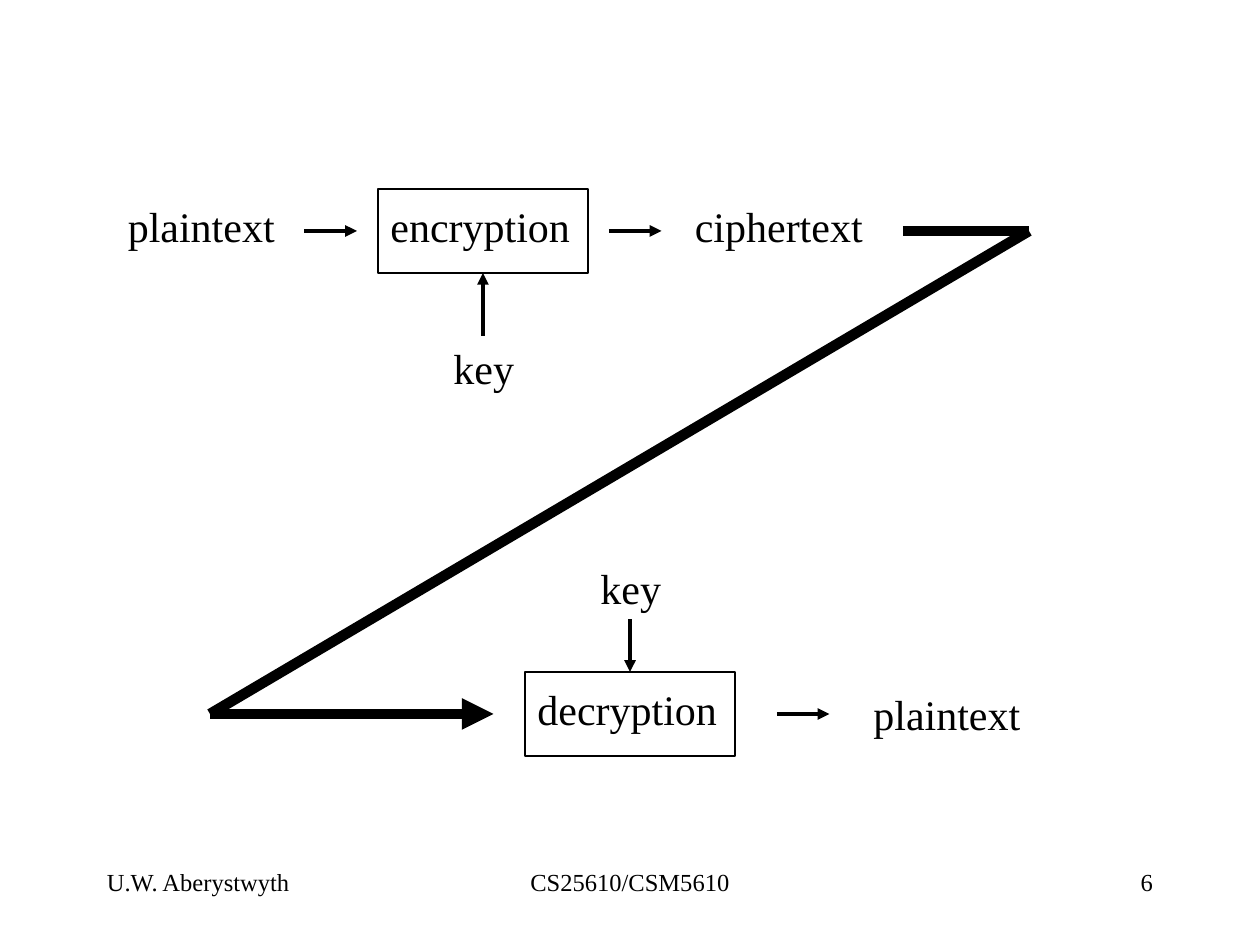
import pptx
import pptx.util
import pptx.dml.color
import pptx.enum.shapes
import pptx.enum.text
import pptx.oxml
import pptx.oxml.ns
from dataclasses import dataclass
from itertools import pairwise

COLS, ROWS = 120, 90  # grid of the whole slide
ALIGN = pptx.enum.text.PP_ALIGN


@dataclass(frozen=True)
class Theme:
    font: str = "Times New Roman"
    ink: str = "000000"
    body: float = 24
    foot: float = 14
    edge: float = 0.75
    arrow: float = 2.25
    thick: float = 6


theme = Theme()
ink = pptx.dml.color.RGBColor.from_string(theme.ink)
deck = pptx.Presentation()
deck.slide_width = pptx.util.Inches(10)
deck.slide_height = pptx.util.Inches(7.5)


def across(cols):
    return round(deck.slide_width * cols / COLS)


def down(rows):
    return round(deck.slide_height * rows / ROWS)


def place(x, y, w, h):
    return across(x), down(y), across(w), down(h)


def label(slide, box, text, size=theme.body, align=ALIGN.LEFT, grow=True):
    frame = slide.shapes.add_textbox(*place(*box)).text_frame
    frame.word_wrap = True
    fit = pptx.enum.text.MSO_AUTO_SIZE
    frame.auto_size = fit.SHAPE_TO_FIT_TEXT if grow else fit.NONE
    frame.text = text
    para = frame.paragraphs[0]
    para.alignment = align
    font = para.runs[0].font
    font.name, font.size = theme.font, pptx.util.Pt(size)
    font.color.rgb = ink


def line(slide, start, end, width=theme.arrow, head=True):
    kind = pptx.enum.shapes.MSO_CONNECTOR.STRAIGHT
    link = slide.shapes.add_connector(
        kind, across(start[0]), down(start[1]), across(end[0]), down(end[1]))
    link.line.color.rgb = ink
    link.line.width = pptx.util.Pt(width)
    qn = pptx.oxml.ns.qn
    props = link.element.spPr
    if head:
        props.find(qn("a:ln")).append(pptx.oxml.parse_xml(
            f'<a:tailEnd {pptx.oxml.ns.nsdecls("a")} type="triangle"/>'))
    props.append(props.makeelement(qn("a:effectLst"), {}))


def block(slide, box, word):
    """Framed step with its name."""
    x, y, w, h = box
    label(slide, (x, y + 0.5, w, 6), word)
    rect = slide.shapes.add_shape(
        pptx.enum.shapes.MSO_SHAPE.RECTANGLE, *place(*box))
    rect.shadow.inherit = False
    rect.fill.background()
    rect.line.color.rgb = ink
    rect.line.width = pptx.util.Pt(theme.edge)


def encrypt(slide, box):
    x, y, w, h = box
    mid, axis, foot = x + w / 2, y + h / 2, y + h
    block(slide, box, "encryption")
    # Input and output
    label(slide, (x - 25, y + 0.5, 17, 6), "plaintext")
    line(slide, (x - 7, axis), (x - 2, axis))
    line(slide, (x + w + 2, axis), (x + w + 7, axis))
    label(slide, (x + w + 9, y + 0.5, 19, 6), "ciphertext")
    # Key from below
    label(slide, (mid - 4, foot + 6, 9, 6), "key")
    line(slide, (mid, foot + 6), (mid, foot))


def decrypt(slide, box):
    x, y, w, h = box
    mid, axis = x + w / 2, y + h / 2
    block(slide, box, "decryption")
    # Output
    line(slide, (x + w + 4, axis), (x + w + 9, axis))
    label(slide, (x + w + 12, y + 1, 17, 6), "plaintext")
    # Key from above
    label(slide, (mid - 4, y - 11, 9, 6), "key")
    line(slide, (mid, y - 5), (mid, y))


def channel(slide, box):
    """Thick zigzag that carries the ciphertext to the receiver."""
    x, y, w, h = box
    points = [(x + w - 12, y), (x + w, y), (x, y + h), (x + 27, y + h)]
    for start, end in pairwise(points):
        line(slide, start, end, theme.thick, head=end == points[-1])


def footer(slide, box):
    x, y, w, h = box
    parts = [(0, 25, "U.W. Aberystwyth", ALIGN.LEFT),
             (32, 38, "CS25610/CSM5610", ALIGN.CENTER),
             (w - 25, 25, "6", ALIGN.RIGHT)]
    for left, wide, text, align in parts:
        label(slide, (x + left, y, wide, h), text, theme.foot, align, False)


def main():
    slide = deck.slides.add_slide(deck.slide_layouts[6])
    channel(slide, (20, 22, 78, 46))
    encrypt(slide, (36, 18, 20, 8))
    decrypt(slide, (50, 64, 20, 8))
    footer(slide, (9, 82, 102, 6))
    deck.save("out.pptx")


if __name__ == "__main__":
    main()
